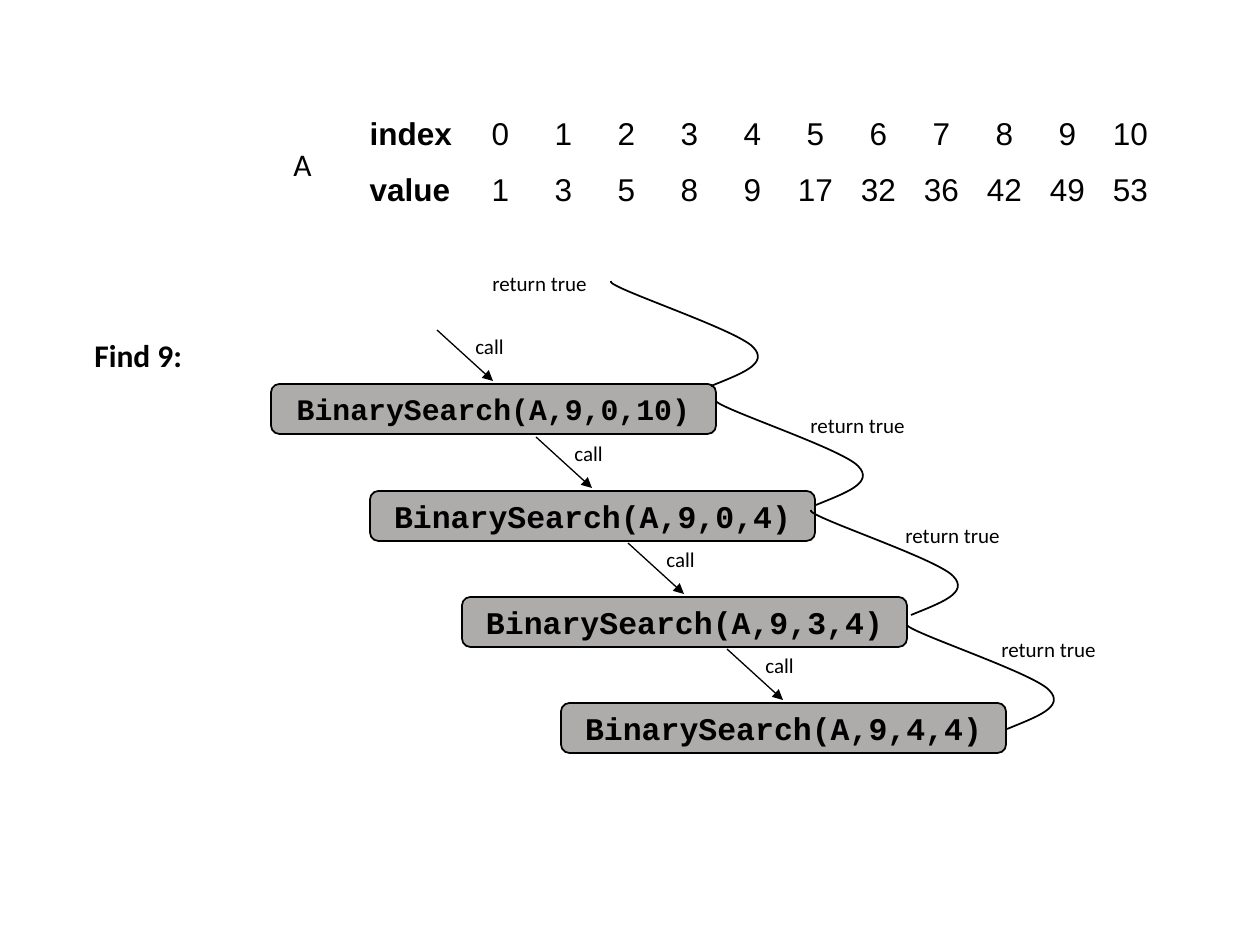
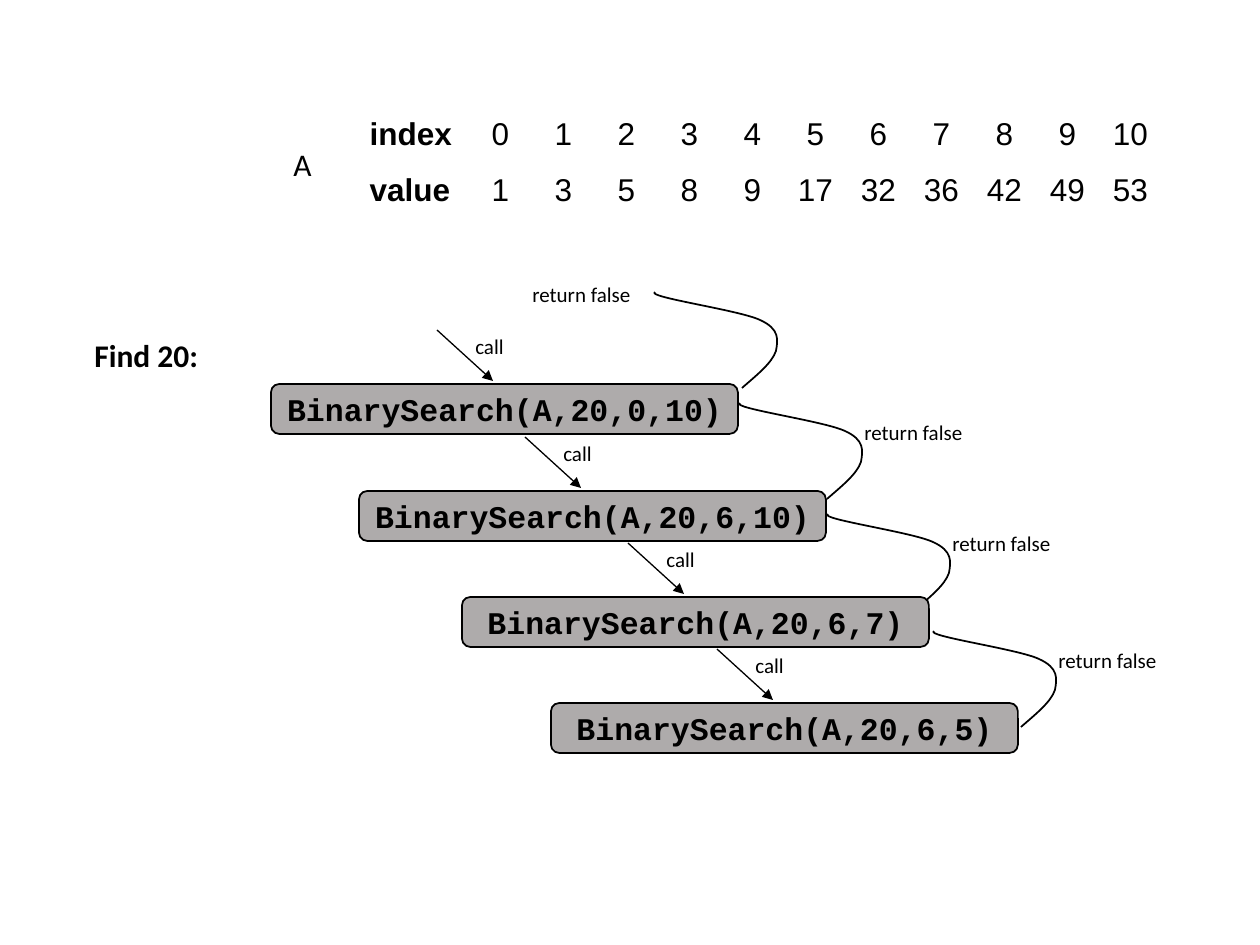
import math

import lxml.etree
import pptx
import pptx.dml.color
import pptx.enum.shapes
import pptx.enum.text
import pptx.oxml.ns
import pptx.util

EMU_PER_PX = 914400 / 126
INK, CALL_GREY = "000000", "AEABAB"
BODY, CODE, TABLE = "Calibri", "Courier New", "Arial"
VALUES = [1, 3, 5, 8, 9, 17, 32, 36, 42, 49, 53]
CALL_HEIGHT = 50
STACK_HEIGHT = 319  # top of the first call to top of the last
LABEL_HEIGHT = 38

# Each curve runs from the callee up to its caller, relative to its box:
# a start point, then control, control, end for every Bezier piece.
TRUE_CURVE = dict(size=(147, 105), points=[
    (100, 105),
    (129, 93), (159, 83), (142, 66),
    (125, 48), (-8, 5), (0, 0)])
FALSE_CURVE = dict(size=(123, 96), points=[
    (87, 96),
    (102, 83), (117, 71), (121, 59),
    (123, 48), (125, 37), (105, 28),
    (84, 18), (-10, 5), (0, 0)])

# Calls are (text, left, font size); return ends are the upper ends of the
# curves; hidden_end is the return whose lower end lies behind its call.
SEARCHES = [
    dict(title="Find 9:", title_width=135, call_width=445,
         calls=[("BinarySearch(A,9,0,10)", 271, 17),
                ("BinarySearch(A,9,0,4)", 370, 18),
                ("BinarySearch(A,9,3,4)", 462, 18),
                ("BinarySearch(A,9,4,4)", 561, 18)],
         answer="return true", answer_width=131, curve=TRUE_CURVE,
         first_answer=(-131, -17), next_answers=(82, 6), hidden_end=None,
         return_ends=[(611, 281), (716, 400), (811, 510), (907, 624)]),
    dict(title="Find 20:", title_width=144, call_width=467,
         calls=[("BinarySearch(A,20,0,10)", 271, 18),
                ("BinarySearch(A,20,6,10)", 359, 18),
                ("BinarySearch(A,20,6,7)", 462, 18),
                ("BinarySearch(A,20,6,5)", 551, 18)],
         answer="return false", answer_width=139, curve=FALSE_CURVE,
         first_answer=(-135, -17), next_answers=(112, 10), hidden_end=2,
         return_ends=[(655, 292), (740, 403), (828, 514), (934, 631)]),
]


def px(length):
    return pptx.util.Emu(round(length * EMU_PER_PX))


def colour(value):
    return pptx.dml.color.RGBColor.from_string(value)


def add_element(parent, tag, **attributes):
    return lxml.etree.SubElement(parent, pptx.oxml.ns.qn(tag), attributes)


def write(frame, text, size, font, bold=False, centred=False):
    paragraph = frame.paragraphs[0]
    align = pptx.enum.text.PP_ALIGN
    paragraph.alignment = align.CENTER if centred else align.LEFT
    run = paragraph.add_run()
    run.text = text
    run.font.size = pptx.util.Pt(size)
    run.font.name = font
    run.font.bold = bold
    run.font.color.rgb = colour(INK)


def add_label(slide, box, text, size=12, bold=False):
    label = slide.shapes.add_textbox(*map(px, box))
    label.text_frame.word_wrap = False
    label.text_frame.auto_size = pptx.enum.text.MSO_AUTO_SIZE.SHAPE_TO_FIT_TEXT
    write(label.text_frame, text, size, BODY, bold)


def set_line(line, width):
    line.color.rgb = colour(INK)
    line.width = pptx.util.Pt(width)


def add_array(slide, left, top):
    """Index and value rows, with the array's name on the left."""
    header_width, column_width, row_height = 112, 63, 56
    rows = [["index", *range(len(VALUES))], ["value", *VALUES]]
    width = header_width + column_width * len(VALUES)
    table = slide.shapes.add_table(
        len(rows), len(rows[0]), px(left), px(top), px(width),
        px(row_height * len(rows))).table
    table.first_row = table.horz_banding = False
    for number, column in enumerate(table.columns):
        column.width = px(column_width if number else header_width)
    for row, entries in enumerate(rows):
        for number, entry in enumerate(entries):
            cell = table.cell(row, number)
            cell.fill.background()
            write(cell.text_frame, str(entry), 18, TABLE,
                  bold=number == 0, centred=number > 0)
    add_label(slide, (left - 76, top + 28, 52, 50), "A", 18)


def add_call(slide, left, top, width, text, size):
    """A grey call box with the arrow that leads into it."""
    call = slide.shapes.add_shape(
        pptx.enum.shapes.MSO_SHAPE.ROUNDED_RECTANGLE,
        px(left), px(top), px(width), px(CALL_HEIGHT))
    call.shadow.inherit = False
    call.fill.solid()
    call.fill.fore_color.rgb = colour(CALL_GREY)
    set_line(call.line, 1)
    call.text_frame.word_wrap = True
    call.text_frame.vertical_anchor = pptx.enum.text.MSO_ANCHOR.MIDDLE
    write(call.text_frame, text, size, CODE, bold=True, centred=True)

    arrow = slide.shapes.add_connector(
        pptx.enum.shapes.MSO_CONNECTOR.STRAIGHT,
        px(left + 166), px(top - 54), px(left + 222), px(top - 3))
    set_line(arrow.line, 0.75)
    properties = arrow._element.spPr
    add_element(properties.find(pptx.oxml.ns.qn("a:ln")), "a:tailEnd",
                type="triangle")
    add_element(properties, "a:effectLst")
    add_label(slide, (left + 192, top - 57, 62, LABEL_HEIGHT), "call")


def add_return_curve(slide, left, top, curve):
    """A Bezier outline in a box whose corner is (left, top)."""
    width, height = curve["size"]
    builder = slide.shapes.build_freeform(left, top, scale=EMU_PER_PX)
    builder.add_line_segments([(left + width, top + height)], close=False)
    way_back = builder.convert_to_shape()
    way_back.shadow.inherit = False
    way_back.fill.background()
    set_line(way_back.line, 1)

    # Bezier pieces take the place of the box diagonal
    outline = way_back._element.spPr.find(".//" + pptx.oxml.ns.qn("a:path"))
    for segment in list(outline):
        outline.remove(segment)
    for number, (x, y) in enumerate(curve["points"]):
        if number == 0:
            piece = add_element(outline, "a:moveTo")
        elif number % 3 == 1:
            piece = add_element(outline, "a:cubicBezTo")
        add_element(piece, "a:pt", x=str(x), y=str(y))


def add_search_slide(deck, search):
    slide = deck.slides.add_slide(deck.slide_layouts[6])
    ends, hidden_end = search["return_ends"], search["hidden_end"]
    if hidden_end is not None:
        add_return_curve(slide, *ends[hidden_end], search["curve"])
    add_array(slide, 357, 111)
    add_label(slide, (82, 330, search["title_width"], 50),
              search["title"], 18, bold=True)

    # Calls step down at an equal pitch
    pitch = STACK_HEIGHT / (len(search["calls"]) - 1)
    for depth, (text, left, size) in enumerate(search["calls"]):
        add_call(slide, left, 384 + math.ceil(depth * pitch),
                 search["call_width"], text, size)

    # Answers go back up from the deepest call
    for depth in reversed(range(len(ends))):
        left, top = ends[depth]
        if depth != hidden_end:
            add_return_curve(slide, left, top, search["curve"])
        right, down = search["next_answers" if depth else "first_answer"]
        add_label(slide, (left + right, top + down, search["answer_width"],
                          LABEL_HEIGHT), search["answer"])


def main():
    deck = pptx.Presentation()
    deck.slide_width, deck.slide_height = px(1260), px(945)
    for search in SEARCHES:
        add_search_slide(deck, search)
    deck.save("out.pptx")


if __name__ == "__main__":
    main()
